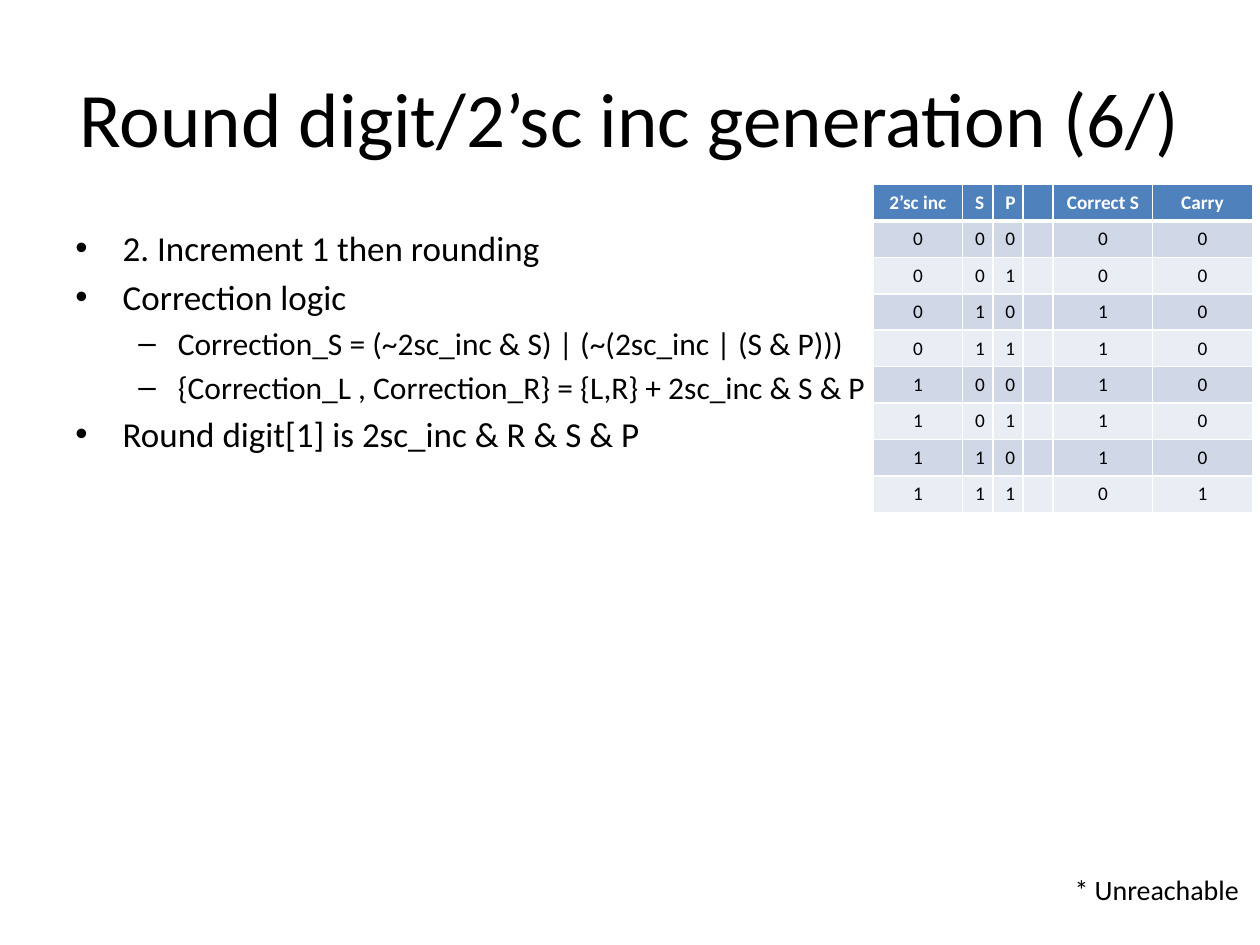
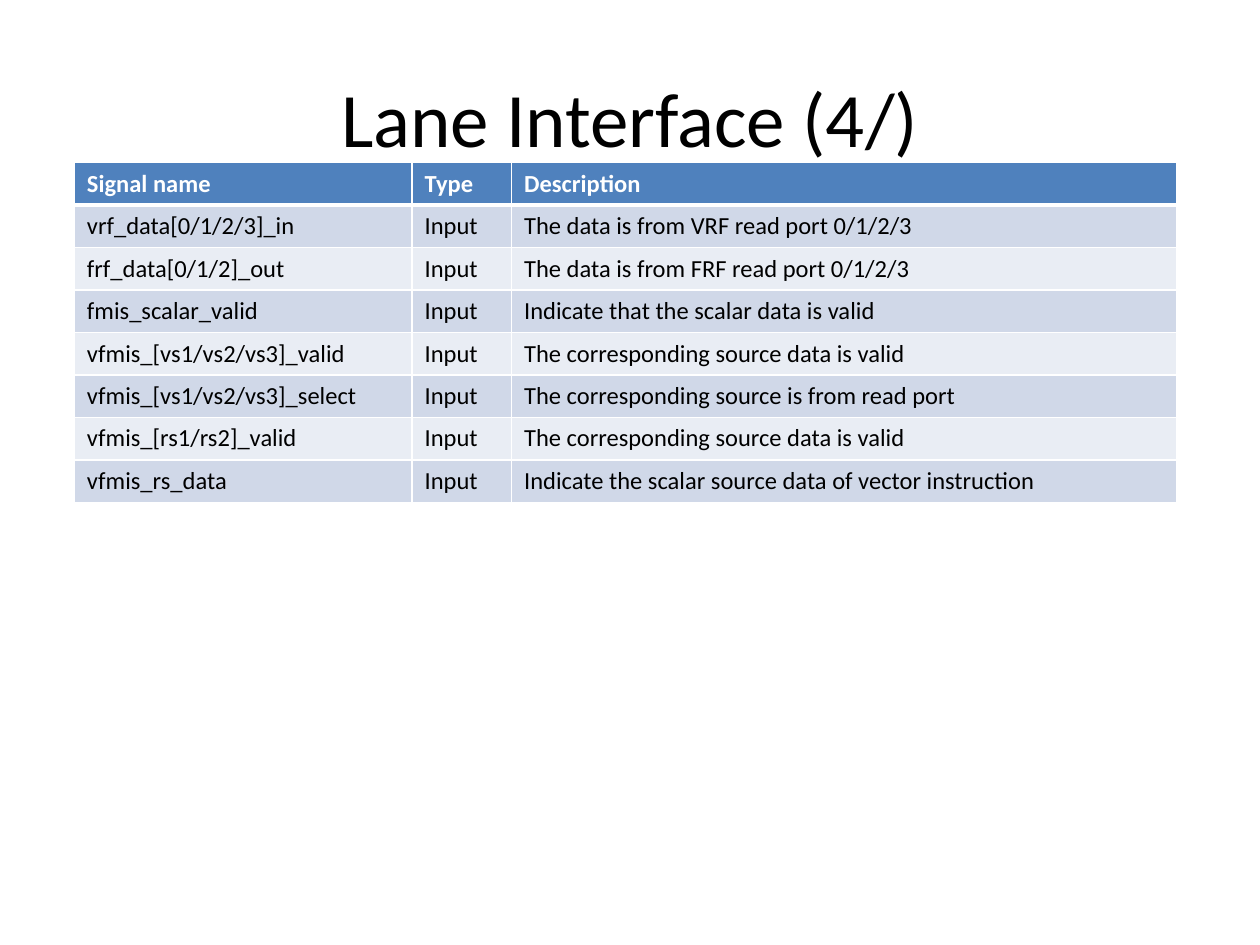
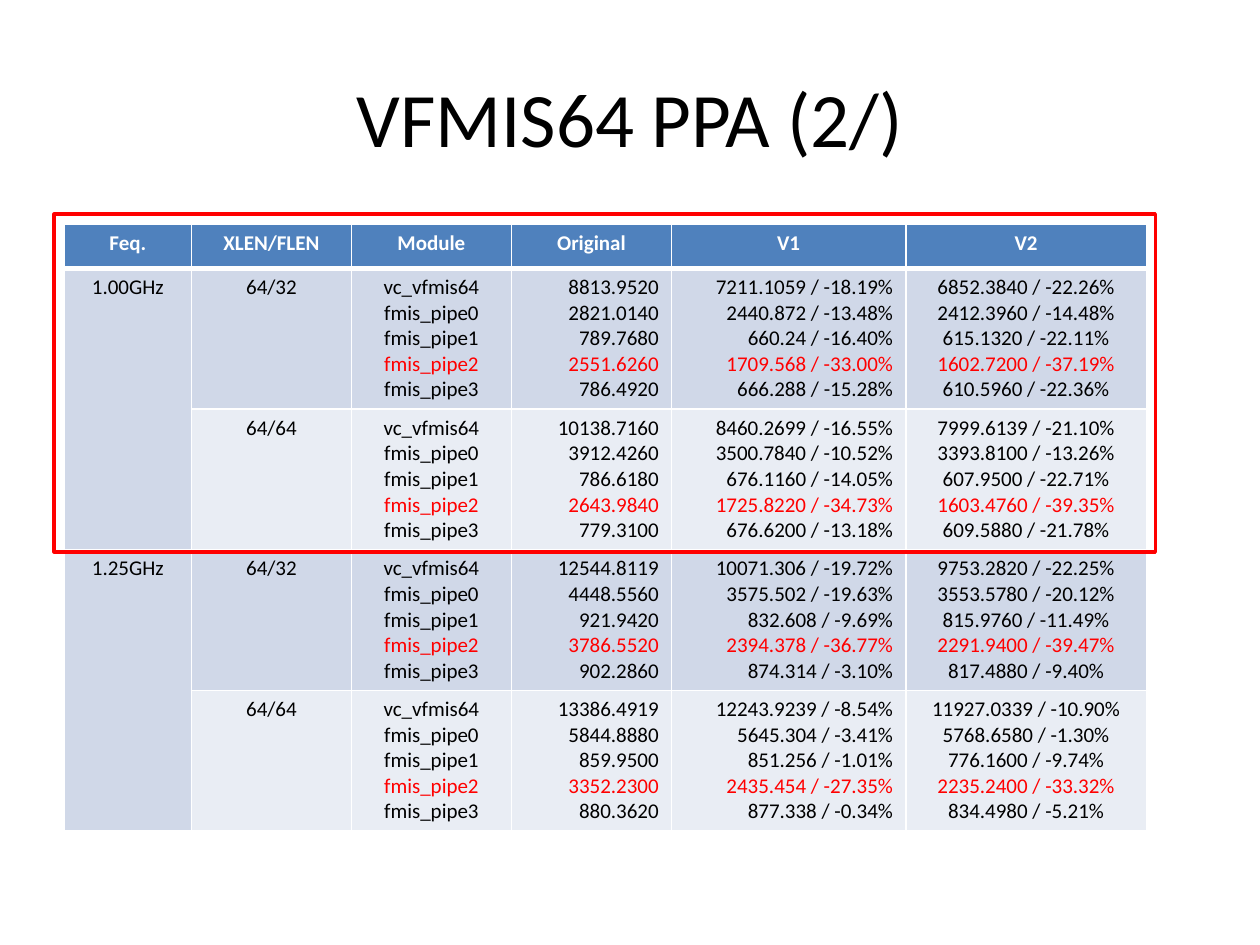
"""Build three slides on rounding, lane signals and PPA results."""
from dataclasses import dataclass

from lxml import etree
from pptx import Presentation
from pptx import util as u
from pptx.dml.color import RGBColor
from pptx.enum import shapes, text
from pptx.oxml import ns

BLACK = RGBColor(0x00, 0x00, 0x00)
WHITE = RGBColor(0xFF, 0xFF, 0xFF)
RED = RGBColor(0xFF, 0x00, 0x00)
HEADER = RGBColor(0x4F, 0x81, 0xBD)
BANDS = (RGBColor(0xD0, 0xD8, 0xE8), RGBColor(0xE9, 0xED, 0xF4))

FONT = "Calibri"
WIDTH, HEIGHT = u.Inches(10), u.Inches(7.5)
COLUMNS, ROWS = 100, 75
LEFT, CENTER, RIGHT = text.PP_ALIGN.LEFT, text.PP_ALIGN.CENTER, text.PP_ALIGN.RIGHT
HIGHLIGHT_LINE = 3


@dataclass(frozen=True)
class Box:
    """A place on the slide, in grid columns and rows."""
    left: float
    top: float
    width: float
    height: float

    def emu(self) -> tuple[int, int, int, int]:
        """Return left, top, width and height as lengths."""
        return col(self.left), row(self.top), col(self.width), row(self.height)


@dataclass(frozen=True)
class Bullet:
    """A bullet level: its sign, size and indents in grid columns."""
    sign: str
    size: int
    margin: float
    hang: float


@dataclass(frozen=True)
class Grid:
    """A table: place, column widths, header height, text size and alignment."""
    left: float
    top: float
    widths: tuple[float, ...]
    header_height: float
    row_height: float
    size: int
    aligns: tuple
    header_align: text.PP_ALIGN
    merges: tuple[tuple[int, int], ...] = ()


TITLE = Box(5, 3, 90, 12.5)
BODY = Box(5, 17.5, 90, 55.2)
NOTE = Box(84.3, 68.8, 15.7, 3.7)
FRAME = Box(4.3, 17, 87.4, 26.8)

POINT = Bullet("•", 20, 3.75, 3.75)
DETAIL = Bullet("–", 18, 8.13, 3.13)

TRUTH = Grid(69.3, 14.65, (7.1, 2.4, 2.4, 2.4, 7.9, 7.9), 2.89, 2.89, 11,
             (CENTER,) * 6, CENTER)
SIGNALS = Grid(5.9, 12.9, (26.8, 7.9, 52.8), 3.37, 3.37, 14, (LEFT,) * 3, LEFT)
PPA = Grid(5.1, 17.8, (10.1, 12.7, 12.7, 12.7, 18.6, 19.1), 3.5, 11.15, 12,
           (CENTER, CENTER, CENTER, RIGHT, RIGHT, CENTER), CENTER,
           ((1, 2), (3, 4)))

STEPS = [
    (POINT, "2. Increment 1 then rounding"),
    (POINT, "Correction logic"),
    (DETAIL, "Correction_S = (~2sc_inc & S) | (~(2sc_inc | (S & P)))"),
    (DETAIL, "{Correction_L , Correction_R} = {L,R} + 2sc_inc & S & P"),
    (POINT, "Round digit[1] is 2sc_inc & R & S & P"),
]

TRUTH_ROWS = [("2’sc inc", "S", "P", "", "Correct S", "Carry")] + [
    (*f"{n:03b}", "", *result)
    for n, result in enumerate(("00", "00", "10", "10", "10", "10", "10", "01"))
]

SIGNAL_ROWS = [("Signal name", "Type", "Description")] + [
    (name, "Input", description) for name, description in (
        ("vrf_data[0/1/2/3]_in", "The data is from VRF read port 0/1/2/3"),
        ("frf_data[0/1/2]_out", "The data is from FRF read port 0/1/2/3"),
        ("fmis_scalar_valid", "Indicate that the scalar data is valid"),
        ("vfmis_[vs1/vs2/vs3]_valid", "The corresponding source data is valid"),
        ("vfmis_[vs1/vs2/vs3]_select", "The corresponding source is from read port"),
        ("vfmis_[rs1/rs2]_valid", "The corresponding source data is valid"),
        ("vfmis_rs_data", "Indicate the scalar source data of vector instruction"),
    )
]

MODULES = ("vc_vfmis64", "fmis_pipe0", "fmis_pipe1", "fmis_pipe2", "fmis_pipe3")
RESULTS = [
    ("1.00GHz", "64/32", [
        ("8813.9520", "7211.1059 / -18.19%", "6852.3840 / -22.26%"),
        ("2821.0140", "2440.872 / -13.48%", "2412.3960 / -14.48%"),
        ("789.7680", "660.24 / -16.40%", "615.1320 / -22.11%"),
        ("2551.6260", "1709.568 / -33.00%", "1602.7200 / -37.19%"),
        ("786.4920", "666.288 / -15.28%", "610.5960 / -22.36%"),
    ]),
    ("", "64/64", [
        ("10138.7160", "8460.2699 / -16.55%", "7999.6139 / -21.10%"),
        ("3912.4260", "3500.7840 / -10.52%", "3393.8100 / -13.26%"),
        ("786.6180", "676.1160 / -14.05%", "607.9500 / -22.71%"),
        ("2643.9840", "1725.8220 / -34.73%", "1603.4760 / -39.35%"),
        ("779.3100", "676.6200 / -13.18%", "609.5880 / -21.78%"),
    ]),
    ("1.25GHz", "64/32", [
        ("12544.8119", "10071.306 / -19.72%", "9753.2820 / -22.25%"),
        ("4448.5560", "3575.502 / -19.63%", "3553.5780 / -20.12%"),
        ("921.9420", "832.608 / -9.69%", "815.9760 / -11.49%"),
        ("3786.5520", "2394.378 / -36.77%", "2291.9400 / -39.47%"),
        ("902.2860", "874.314 / -3.10%", "817.4880 / -9.40%"),
    ]),
    ("", "64/64", [
        ("13386.4919", "12243.9239 / -8.54%", "11927.0339 / -10.90%"),
        ("5844.8880", "5645.304 / -3.41%", "5768.6580 / -1.30%"),
        ("859.9500", "851.256 / -1.01%", "776.1600 / -9.74%"),
        ("3352.2300", "2435.454 / -27.35%", "2235.2400 / -33.32%"),
        ("880.3620", "877.338 / -0.34%", "834.4980 / -5.21%"),
    ]),
]
PPA_ROWS = [("Feq.", "XLEN/FLEN", "Module", "Original", "V1", "V2")] + [
    (freq, widths, "\n".join(MODULES), *("\n".join(lines) for lines in zip(*figures)))
    for freq, widths, figures in RESULTS
]


def col(n: float) -> int:
    """Return the length of n grid columns."""
    return round(WIDTH * n / COLUMNS)


def row(n: float) -> int:
    """Return the length of n grid rows."""
    return round(HEIGHT * n / ROWS)


def assign(obj, **values) -> None:
    """Set the given attributes of an object."""
    for name, value in values.items():
        setattr(obj, name, value)


def write(p, words: str, size: float, color: RGBColor = BLACK, bold: bool = False) -> None:
    """Add one formatted run, or size the paragraph when it is empty."""
    if not words:
        etree.SubElement(p._p, ns.qn("a:endParaRPr"), sz=str(size * 100))
        return
    r = p.add_run()
    r.text = words
    assign(r.font, name=FONT, size=u.Pt(size), bold=bold)
    r.font.color.rgb = color


def add_slide(prs, title: str):
    """Add a title-only slide and format its title."""
    s = prs.slides.add_slide(prs.slide_layouts[5])
    sp = s.shapes.title
    assign(sp, **dict(zip(("left", "top", "width", "height"), TITLE.emu())))
    tf = sp.text_frame
    assign(tf, word_wrap=True, auto_size=text.MSO_AUTO_SIZE.NONE,
           vertical_anchor=text.MSO_ANCHOR.MIDDLE)
    p = tf.paragraphs[0]
    p.alignment = CENTER
    write(p, title, 44)
    return s


def add_bullets(s, box: Box, items: list[tuple[Bullet, str]]) -> None:
    """Add a text box of bulleted paragraphs."""
    tf = s.shapes.add_textbox(*box.emu()).text_frame
    tf.word_wrap = True
    for i, (bullet, words) in enumerate(items):
        p = tf.add_paragraph() if i else tf.paragraphs[0]
        pr = p._p.get_or_add_pPr()
        pr.set("marL", str(col(bullet.margin)))
        pr.set("indent", str(-col(bullet.hang)))
        etree.SubElement(pr, ns.qn("a:buFont"), typeface="Arial")
        etree.SubElement(pr, ns.qn("a:buChar"), char=bullet.sign)
        if i:
            p.space_before = u.Pt(bullet.size * 0.2)
        write(p, words, bullet.size)


def add_note(s, box: Box, words: str) -> None:
    """Add a single-line note."""
    tf = s.shapes.add_textbox(*box.emu()).text_frame
    assign(tf, word_wrap=False, auto_size=text.MSO_AUTO_SIZE.SHAPE_TO_FIT_TEXT)
    write(tf.paragraphs[0], words, 16)


def draw_borders(cell, top: float, bottom: float) -> None:
    """Give a cell white borders, with the top and bottom widths in points."""
    pr = cell._tc.get_or_add_tcPr()
    for side, width in (("L", 1), ("R", 1), ("T", top), ("B", bottom)):
        ln = etree.SubElement(pr, ns.qn(f"a:ln{side}"), w=str(u.Pt(width)))
        fill = etree.SubElement(ln, ns.qn("a:solidFill"))
        etree.SubElement(fill, ns.qn("a:srgbClr"), val=str(WHITE))


def fill_cell(cell, words: str, grid: Grid, i: int, j: int) -> None:
    """Write and format the cell in row i and column j."""
    head = i == 0
    merged = j == 0 and grid.merges
    draw_borders(cell, 3 if i == 1 else 1, 3 if head else 1)
    cell.fill.solid()
    cell.fill.fore_color.rgb = HEADER if head else BANDS[0 if merged else (i - 1) % 2]
    tf = cell.text_frame
    for k, line in enumerate(words.split("\n")):
        p = tf.add_paragraph() if k else tf.paragraphs[0]
        p.alignment = grid.header_align if head else grid.aligns[j]
        color = WHITE if head else RED if k == HIGHLIGHT_LINE else BLACK
        write(p, line, grid.size, color, head)


def add_grid(s, grid: Grid, rows: list[tuple[str, ...]]) -> None:
    """Add a table with a header row and banded rows."""
    heights = [grid.header_height] + [grid.row_height] * (len(rows) - 1)
    box = Box(grid.left, grid.top, sum(grid.widths), sum(heights))
    table = s.shapes.add_table(len(rows), len(grid.widths), *box.emu()).table
    assign(table, first_row=False, horz_banding=False)
    for column, width in zip(table.columns, grid.widths):
        column.width = col(width)
    for i, (line, height) in enumerate(zip(rows, heights)):
        table.rows[i].height = row(height)
        for j, words in enumerate(line):
            fill_cell(table.cell(i, j), words, grid, i, j)
    for first, last in grid.merges:
        table.cell(first, 0).merge(table.cell(last, 0))


def add_frame(s, box: Box) -> None:
    """Add an unfilled red frame."""
    sp = s.shapes.add_shape(shapes.MSO_SHAPE.RECTANGLE, *box.emu())
    sp.shadow.inherit = False
    sp.fill.background()
    sp.line.color.rgb = RED
    sp.line.width = u.Pt(2)


def main() -> None:
    """Build and save the slides."""
    prs = Presentation()
    assign(prs, slide_width=WIDTH, slide_height=HEIGHT)

    s = add_slide(prs, "Round digit/2’sc inc generation (6/)")
    add_bullets(s, BODY, STEPS)
    add_grid(s, TRUTH, TRUTH_ROWS)
    add_note(s, NOTE, "* Unreachable")

    s = add_slide(prs, "Lane Interface (4/)")
    add_grid(s, SIGNALS, SIGNAL_ROWS)

    s = add_slide(prs, "VFMIS64 PPA (2/)")
    add_grid(s, PPA, PPA_ROWS)
    add_frame(s, FRAME)

    prs.save("out.pptx")


if __name__ == "__main__":
    main()
